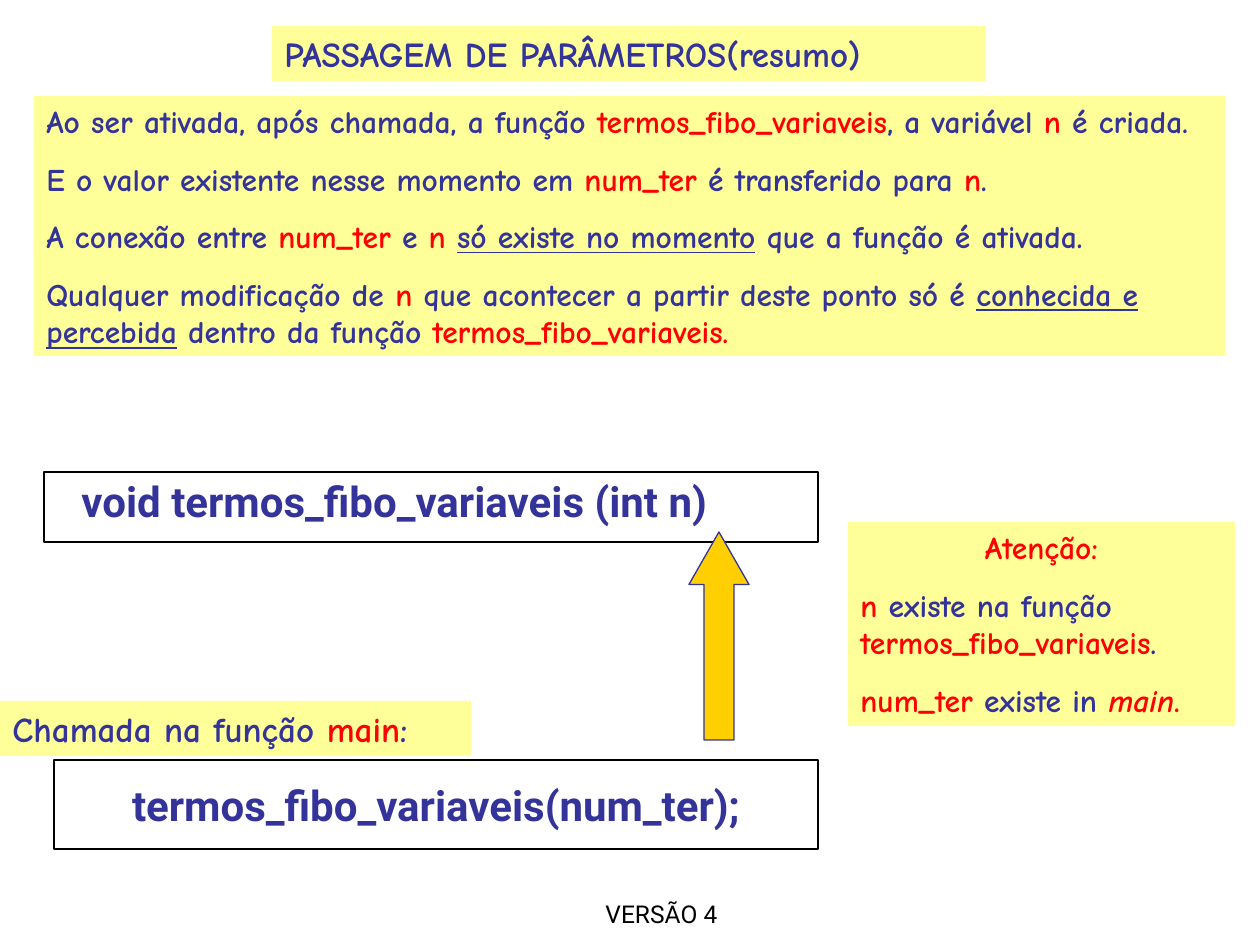
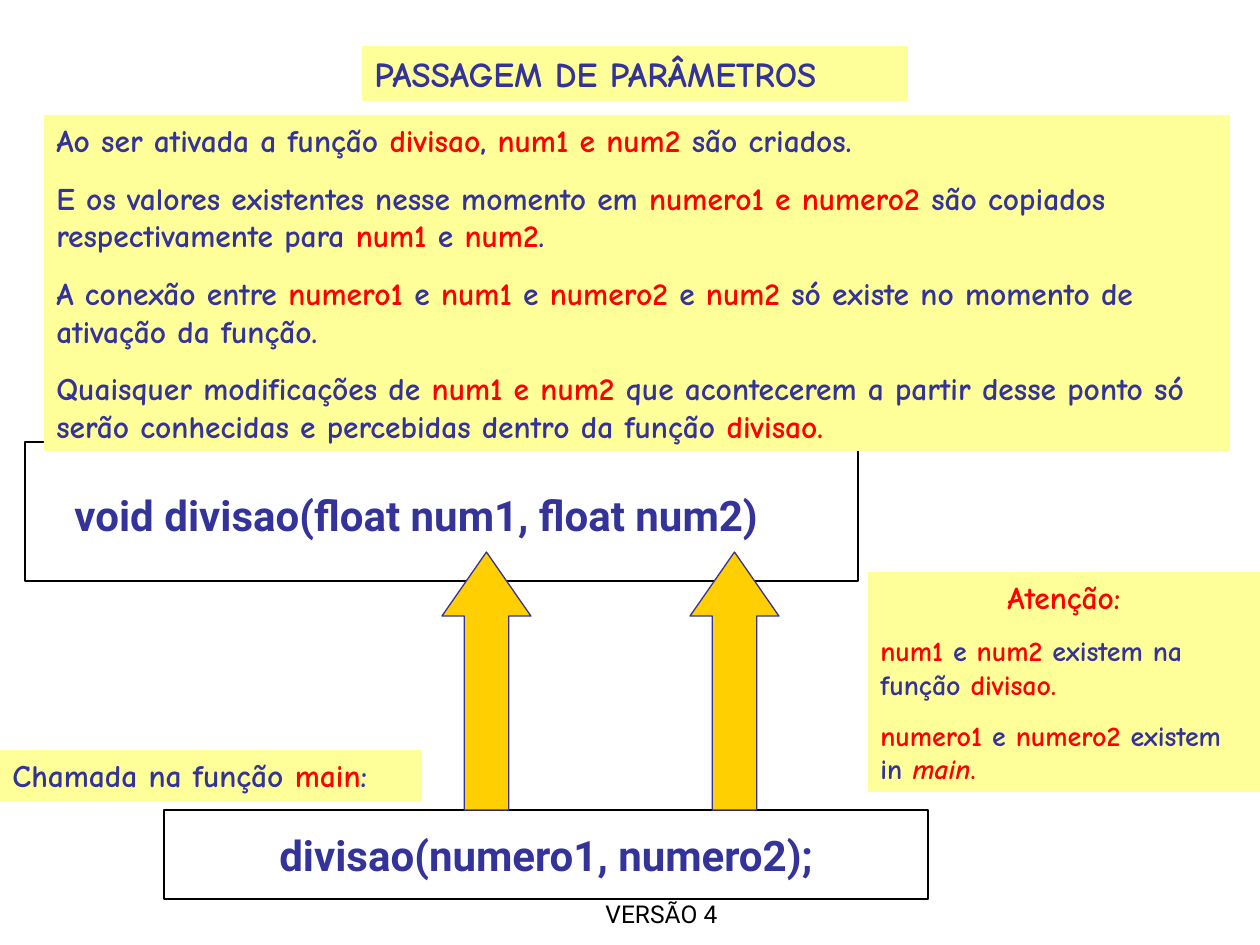
from dataclasses import dataclass

from pptx import Presentation
from pptx import util as u
from pptx.dml.color import RGBColor
from pptx.enum import shapes, text

# Marks in text: *red*, ~underlined~, ^italic^
DECK = [
    dict(
        title=("PASSAGEM DE PARÂMETROS(resumo)", (272, 26, 714, 55)),
        call=("termos_fibo_variaveis(num_ter);", (54, 760, 764, 89)),
        frame=(44, 472, 774, 70),
        head=("void termos_fibo_variaveis (int n)", (69, 469, 717, 63)),
        arrows=[(689, 532, 60, 208)],
        tip=0.875,
        body=([
            "Ao ser ativada, após chamada, a função *termos_fibo_variaveis*, "
            "a variável *n* é criada.",
            "E o valor existente nesse momento em *num_ter* é transferido para *n*.",
            "A conexão entre *num_ter* e *n *~só existe no momento~ "
            "que a função é ativada.",
            "Qualquer modificação de *n* que acontecer a partir deste ponto só é "
            "~conhecida e percebida~ dentro da função *termos_fibo_variaveis.*",
        ], (34, 96, 1191, 260)),
        tag=("Chamada na função *main*:", (0, 701, 471, 55), 20),
        note=([
            "*n* existe na função *termos_fibo_variaveis*.",
            "*num_ter* existe in *^main^.*",
        ], (848, 522, 387, 204), 18),
    ),
    dict(
        title=("PASSAGEM DE PARÂMETROS", (362, 46, 546, 55)),
        call=("divisao(numero1, numero2);", (164, 810, 764, 89)),
        frame=(25, 442, 833, 139),
        head=("void divisao(float num1, float num2)", (62, 483, 785, 63)),
        arrows=[(left, 552, 89, 258) for left in (442, 690)],
        tip=0.72,
        body=([
            "Ao ser ativada a função *divisao*, *num1 e num2* são criados.",
            "E os valores existentes nesse momento em *numero1 e numero2* "
            "são copiados respectivamente para *num1* e *num2*.",
            "A conexão entre *numero1 *e* num1 *e* numero2 *e* num2 *"
            "só existe no momento de ativação da função.",
            "Quaisquer modificações de *num1 e num2* que acontecerem a partir "
            "desse ponto só serão conhecidas e percebidas dentro da função *divisao.*",
        ], (44, 115, 1186, 336)),
        tag=("Chamada na função *main*:", (0, 750, 422, 51), 18),
        note=([
            "*num1 *e* num2 *existem na função *divisao.*",
            "*numero1 *e* numero2* existem in *^main^.*",
        ], (868, 572, 392, 220), 16),
    ),
]
WARN = "*Atenção:*"
FOOT = ("VERSÃO 4", (462, 872, 399, 63))


@dataclass(frozen=True)
class Theme:
    ink: str = "333399"
    red: str = "FF0000"
    black: str = "000000"
    note: str = "FFFF99"
    arrow: str = "FFCF01"
    hand: str = "Comic Neue"
    code: str = "Roboto"
    big: int = 24
    title: int = 20
    body: int = 18
    foot: int = 14
    line: float = 0.75
    gap: float = 0.625  # space before a paragraph, as a share of its type size


T = Theme()
RECT = shapes.MSO_SHAPE.RECTANGLE
ARROW = shapes.MSO_SHAPE.UP_ARROW
LEFT, MID = text.PP_ALIGN.LEFT, text.PP_ALIGN.CENTER
TOP, CORE, LOW = (text.MSO_ANCHOR.TOP, text.MSO_ANCHOR.MIDDLE,
                  text.MSO_ANCHOR.BOTTOM)


def px(n):
    return u.Emu(round(n * 914400 / 126))


def rgb(code):
    return RGBColor.from_string(code)


def runs(line):
    """Split marked text into (words, set of active marks)."""
    on, words = set(), ""
    for char in line:
        if char in "*~^":
            if words:
                yield words, set(on)
            on ^= {char}
            words = ""
        else:
            words += char
    if words:
        yield words, set(on)


def shape(slide, kind, box, fill=None, line=None):
    item = slide.shapes.add_shape(kind, *map(px, box))
    item.shadow.inherit = False
    if fill:
        item.fill.solid()
        item.fill.fore_color.rgb = rgb(fill)
    else:
        item.fill.background()
    if line:
        item.line.color.rgb = rgb(line)
        item.line.width = u.Pt(T.line)
    else:
        item.line.fill.background()
    return item


def write(item, lines, size=T.body, font=T.hand, color=T.ink, bold=True,
          align=LEFT, anchor=TOP, wrap=True, grow=False, gap=0):
    """Fill an item; a line is marked text, or (text, size, align)."""
    frame = item.text_frame
    frame.word_wrap = wrap
    frame.vertical_anchor = anchor
    frame.auto_size = (text.MSO_AUTO_SIZE.SHAPE_TO_FIT_TEXT if grow
                       else text.MSO_AUTO_SIZE.NONE)
    for i, line in enumerate(lines):
        words, pts, side = (line, size, align) if isinstance(line, str) else line
        para = frame.paragraphs[0] if i == 0 else frame.add_paragraph()
        para.alignment = side
        para.space_before = u.Pt(pts * gap)
        for part, marks in runs(words):
            run = para.add_run()
            run.text = part
            face = run.font
            face.name, face.size, face.bold = font, u.Pt(pts), bold
            face.color.rgb = rgb(T.red if "*" in marks else color)
            if "~" in marks:
                face.underline = True
            if "^" in marks:
                face.italic = True


def label(slide, words, box, **form):
    write(slide.shapes.add_textbox(*map(px, box)), [words], **form)


def panel(slide, lines, box, **form):
    write(shape(slide, RECT, box, fill=T.note), lines, grow=True, **form)


def build(slide, data):
    # Title band
    words, box = data["title"]
    panel(slide, [words], box, size=T.title)

    # Call and function header
    code = dict(size=T.big, font=T.code, wrap=False)
    words, box = data["call"]
    write(shape(slide, RECT, box, line=T.black), [words],
          align=MID, anchor=CORE, **code)
    shape(slide, RECT, data["frame"], line=T.black)
    label(slide, *data["head"], grow=True, **code)

    # Arrows from arguments to parameters
    for box in data["arrows"]:
        arrow = shape(slide, ARROW, box, fill=T.arrow, line=T.ink)
        arrow.adjustments[0] = 0.5
        arrow.adjustments[1] = data["tip"]

    # Explanation, call tag and warning
    lines, box = data["body"]
    panel(slide, lines, box, gap=T.gap)
    words, box, size = data["tag"]
    panel(slide, [words], box, size=size, gap=T.gap)
    lines, box, size = data["note"]
    panel(slide, [(WARN, T.body, MID)] + lines, box, size=size, gap=T.gap)

    # Footer
    label(slide, *FOOT, size=T.foot, font=T.code, color=T.black, bold=False,
          align=MID, anchor=LOW)


def main():
    deck = Presentation()
    deck.slide_width, deck.slide_height = px(1260), px(945)
    for data in DECK:
        build(deck.slides.add_slide(deck.slide_layouts[6]), data)
    deck.save("out.pptx")


if __name__ == "__main__":
    main()
